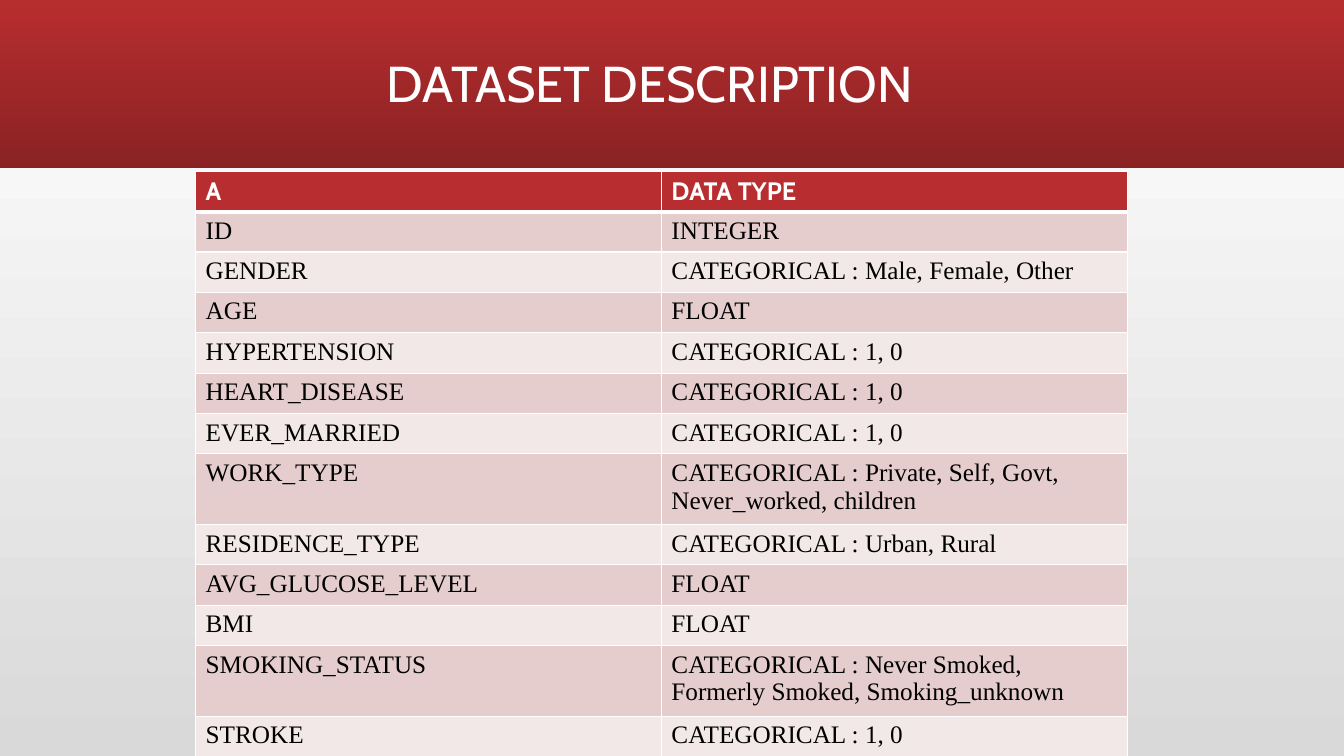
from lxml.etree import SubElement
from pptx import Presentation
from pptx.dml.color import RGBColor
from pptx.enum.shapes import MSO_SHAPE
from pptx.enum.text import MSO_ANCHOR, PP_ALIGN
from pptx.oxml.ns import qn
from pptx.util import Inches, Pt

FIELDS = [
    ("A", "DATA TYPE"),
    ("ID", "INTEGER"),
    ("GENDER", "CATEGORICAL : Male, Female, Other"),
    ("AGE", "FLOAT"),
    ("HYPERTENSION", "CATEGORICAL : 1, 0"),
    ("HEART_DISEASE", "CATEGORICAL : 1, 0"),
    ("EVER_MARRIED", "CATEGORICAL : 1, 0"),
    ("WORK_TYPE", "CATEGORICAL : Private, Self, Govt, Never_worked, children"),
    ("RESIDENCE_TYPE", "CATEGORICAL : Urban, Rural"),
    ("AVG_GLUCOSE_LEVEL", "FLOAT"),
    ("BMI", "FLOAT"),
    ("SMOKING_STATUS", "CATEGORICAL : Never Smoked, Formerly Smoked, Smoking_unknown"),
    ("STROKE", "CATEGORICAL : 1, 0"),
]
TWO_LINE_FIELDS = {"WORK_TYPE", "SMOKING_STATUS"}


def color(value):
    return RGBColor.from_string(value)


def write_text(text_frame, text, font="Times New Roman", size=18, fill="000000",
               bold=False, align=PP_ALIGN.LEFT, line_spacing=1.0):
    paragraph = text_frame.paragraphs[0]
    paragraph.alignment = align
    paragraph.line_spacing = line_spacing
    run = paragraph.add_run()
    run.text = text
    run.font.name = font
    run.font.size = Pt(size)
    run.font.bold = bold
    run.font.color.rgb = color(fill)


def apply_gradient(fill, start, end, angle):
    fill.gradient()
    fill.gradient_angle = angle
    for stop, value in zip(fill.gradient_stops, (start, end)):
        stop.color.rgb = color(value)


class DatasetSlide:
    heading_font = "Cabin"
    red = "B82D2F"
    dark_red = "8A2223"
    white = "FFFFFF"
    gray = "D9D9D9"
    bands = ("F3E8E8", "E6CDCD")

    def __init__(self, presentation):
        self.slide = presentation.slides.add_slide(presentation.slide_layouts[6])
        apply_gradient(self.slide.background.fill, self.gray, self.white, 90)

    def add_banner(self, left, top, width, height):
        shape = self.slide.shapes.add_shape(
            MSO_SHAPE.RECTANGLE, Inches(left), Inches(top), Inches(width), Inches(height))
        shape.shadow.inherit = False
        shape.line.fill.background()
        apply_gradient(shape.fill, self.red, self.dark_red, 270)

    def add_title(self, text, left, top, width, height):
        shape = self.slide.shapes.add_textbox(
            Inches(left), Inches(top), Inches(width), Inches(height))
        shape.text_frame.word_wrap = True
        shape.text_frame.vertical_anchor = MSO_ANCHOR.MIDDLE
        write_text(shape.text_frame, text, font=self.heading_font, size=36,
                   fill=self.white, align=PP_ALIGN.CENTER, line_spacing=0.9)

    def add_border(self, cell, side, width):
        properties = cell._tc.get_or_add_tcPr()
        line = SubElement(properties, qn(f"a:ln{side}"), w=str(Pt(width)))
        solid_fill = SubElement(line, qn("a:solidFill"))
        SubElement(solid_fill, qn("a:srgbClr"), val=self.white)

    def format_cell(self, cell, text, row_index):
        header = row_index == 0
        widths = {"L": 1, "R": 1, "T": 3 if row_index == 1 else 1, "B": 3 if header else 1}
        for side, width in widths.items():
            self.add_border(cell, side, width)
        cell.fill.solid()
        cell.fill.fore_color.rgb = color(self.red if header else self.bands[row_index % 2])
        if header:
            write_text(cell.text_frame, text, font=self.heading_font,
                       fill=self.white, bold=True)
        else:
            write_text(cell.text_frame, text)

    def add_field_table(self, fields, left, top, width, height, tall_row=0.69):
        table = self.slide.shapes.add_table(
            len(fields), 2, Inches(left), Inches(top), Inches(width), Inches(height)).table
        tall_count = len(TWO_LINE_FIELDS)
        short_row = (height - tall_count * tall_row) / (len(fields) - tall_count)
        for row_index, field in enumerate(fields):
            row_height = tall_row if field[0] in TWO_LINE_FIELDS else short_row
            table.rows[row_index].height = Inches(row_height)
            for column_index, text in enumerate(field):
                self.format_cell(table.cell(row_index, column_index), text, row_index)


def main():
    presentation = Presentation()
    presentation.slide_width = Inches(13.33)
    presentation.slide_height = Inches(7.5)
    slide = DatasetSlide(presentation)
    slide.add_banner(0, 0, 13.33, 1.67)
    slide.add_title("DATASET DESCRIPTION", 0, 0.13, 12.89, 1.45)
    slide.add_field_table(FIELDS, 1.94, 1.7, 9.24, 5.71)
    presentation.save("out.pptx")


if __name__ == "__main__":
    main()
